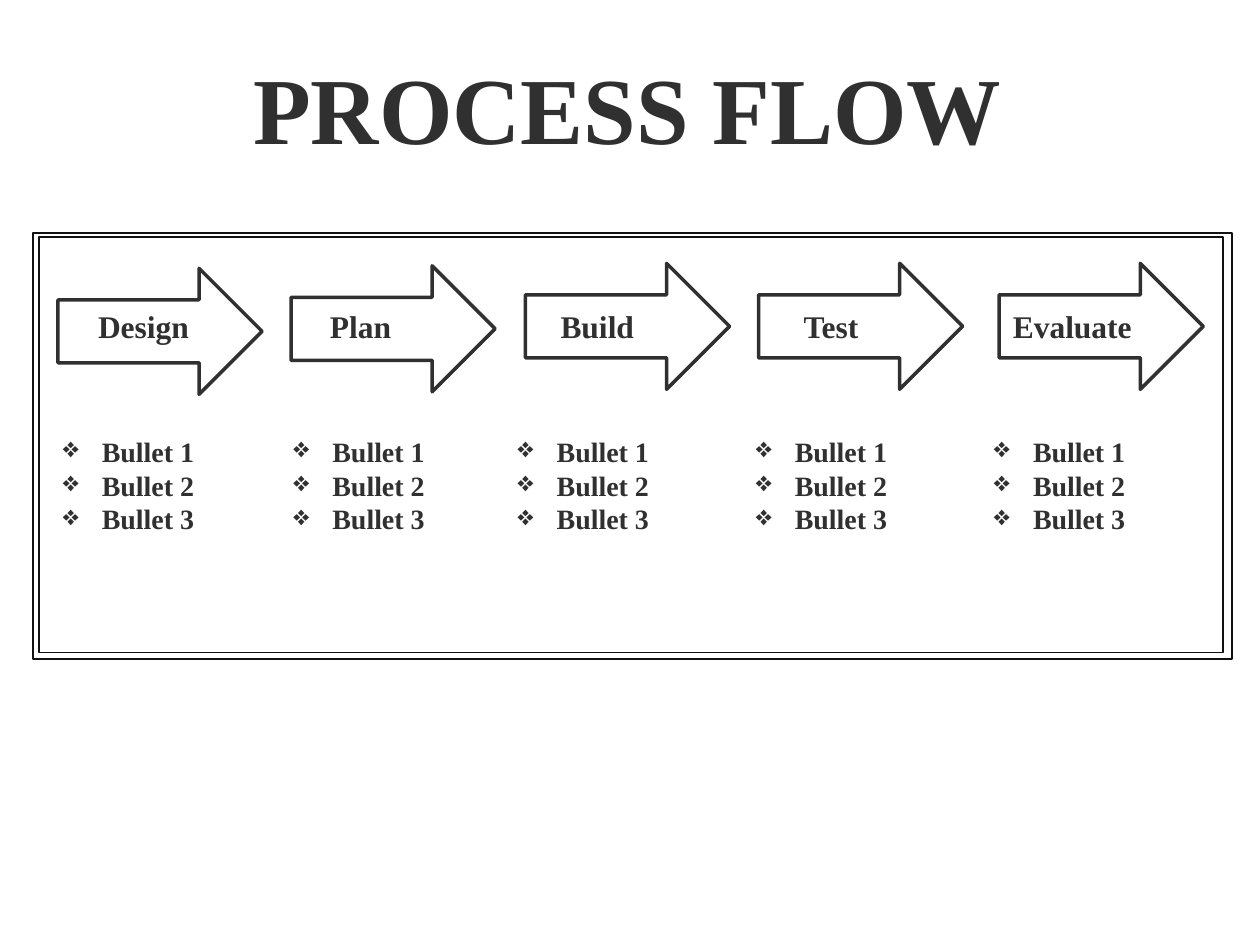
"""Build a process flow slide with five arrows and their bullet lists."""
from lxml import etree
from pptx import Presentation
from pptx.dml.color import RGBColor
from pptx.enum import shapes, text
from pptx.oxml import ns
from pptx.util import Inches, Pt

FONT = "Times New Roman"
INK = "303030"
FRAME = "111111"


def add_text(box, lines, size, bullet=None, centred=False):
    shape = slide.shapes.add_textbox(*map(Inches, box))
    frame = shape.text_frame
    frame.word_wrap = bool(bullet)
    frame.auto_size = text.MSO_AUTO_SIZE.NONE if bullet else text.MSO_AUTO_SIZE.SHAPE_TO_FIT_TEXT
    frame.text = "\n".join(lines)
    for paragraph in frame.paragraphs:
        if centred:
            paragraph.alignment = text.PP_ALIGN.CENTER
        if bullet:
            properties = paragraph._p.get_or_add_pPr()
            properties.set("marL", str(Inches(0.31)))
            properties.set("indent", str(Inches(-0.31)))
            etree.SubElement(properties, ns.qn("a:buChar")).set("char", bullet)
        for run in paragraph.runs:
            run.font.name = FONT
            run.font.size = Pt(size)
            run.font.bold = True
            run.font.color.rgb = RGBColor.from_string(INK)


def add_outline(kind, box, colour, width):
    shape = slide.shapes.add_shape(kind, *map(Inches, box))
    shape.shadow.inherit = False
    shape.fill.background()
    shape.line.color.rgb = RGBColor.from_string(colour)
    shape.line.width = Pt(width)


presentation = Presentation()
presentation.slide_width = Inches(10)
presentation.slide_height = Inches(7.5)
slide = presentation.slides.add_slide(presentation.slide_layouts[6])

stages = [
    ("Design", 0.68, 0.93, 0.46, 2.13, 0.4),
    ("Plan", 2.52, 0.69, 2.31, 2.11, 2.23),
    ("Build", 4.35, 0.79, 4.17, 2.09, 4.01),
    ("Test", 6.28, 0.64, 6.02, 2.09, 5.9),
    ("Evaluate", 7.94, 1.16, 7.93, 2.09, 7.79),
]
bullets = [f"Bullet {number}" for number in range(1, 4)]

for name, label_left, label_width, arrow_left, arrow_top, list_left in stages:
    add_text((list_left, 3.4, 1.51, 2.57), bullets, 16, bullet="❖")
    add_text((label_left, 2.39, label_width, 0.4), [name], 18)
    add_outline(shapes.MSO_SHAPE.RIGHT_ARROW, (arrow_left, arrow_top, 1.62, 1), INK, 2)

for frame_box in ((0.26, 1.85, 9.52, 3.38), (0.31, 1.88, 9.4, 3.3)):
    add_outline(shapes.MSO_SHAPE.RECTANGLE, frame_box, FRAME, 1)

add_text((1.88, 0.35, 6.2, 1.01), ["PROCESS FLOW"], 54, centred=True)

presentation.save("out.pptx")
